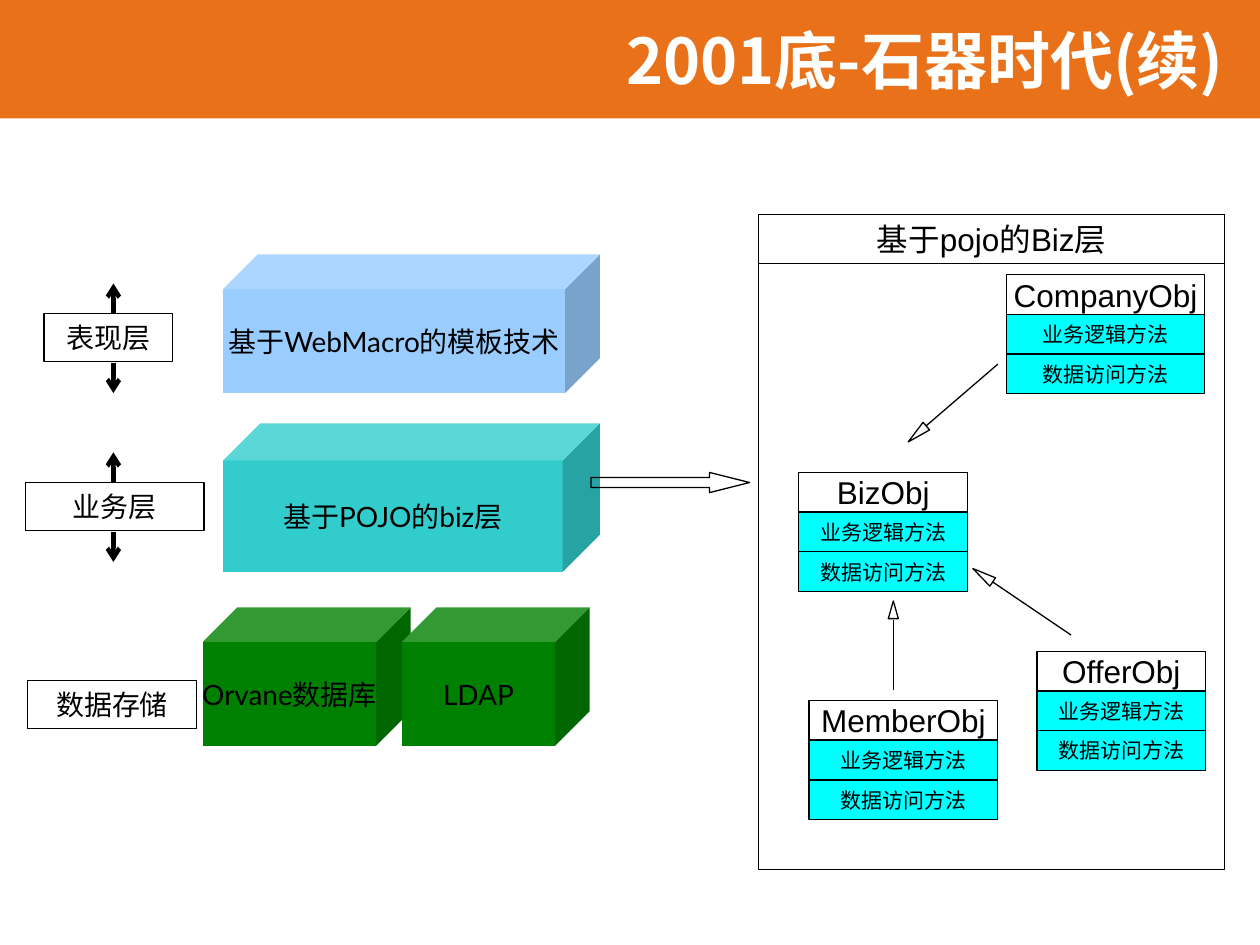
"""Builds the slide on the 2001 layered architecture and its POJO business objects."""
from pptx import Presentation
from pptx import util as u
from pptx.dml import color
from pptx.enum import shapes, text
from pptx.oxml import ns
from lxml import etree

COLORS = {
    "orange": "E87119", "white": "FFFFFF", "black": "000000", "blue": "99CCFF",
    "teal": "33CCCC", "green": "008000", "cyan": "00FFFF",
}
CJK_FONT = "Noto Sans CJK SC"
SHAPE = shapes.MSO_SHAPE
ROW_HEIGHT = 0.315
AXIS_X = 0.9

CUBES = [
    (1.77, 3.36, 2.99, 1.18, "teal", "基于POJO的biz层"),
    (1.77, 2.02, 2.99, 1.1, "blue", "基于WebMacro的模板技术"),
    (1.61, 4.82, 1.65, 1.1, "green", "Orvane数据库"),
    (3.19, 4.82, 1.49, 1.1, "green", "LDAP"),
]
LAYERS = [
    (0.35, 2.49, 1.02, "表现层", True),
    (0.2, 3.83, 1.42, "业务层", True),
    (0.22, 5.4, 1.34, "数据存储", False),
]
CLASSES = [
    (6.34, 3.75, 1.34, "BizObj"),
    (8.23, 5.17, 1.34, "OfferObj"),
    (6.42, 5.56, 1.5, "MemberObj"),
    (7.99, 2.18, 1.57, "CompanyObj"),
]
INHERITANCES = [
    (7.05, 4.77, 0.14, 0, (7.09, 5.48), (7.09, 4.92)),
    (7.76, 4.47, 0.19, 304.2, (8.5, 5.04), (7.88, 4.62)),
    (7.24, 3.35, 0.19, 229, (7.92, 2.89), (7.35, 3.38)),
]


def rgb(name):
    """Return the named colour."""
    return color.RGBColor.from_string(COLORS[name])


def write_text(shape, content, size, font="Arial", fill="black", bold=False,
               align=text.PP_ALIGN.CENTER, margin=0):
    """Put one vertically centred, unwrapped line of text in a shape."""
    frame = shape.text_frame
    frame.word_wrap = False
    frame.vertical_anchor = text.MSO_ANCHOR.MIDDLE
    frame.margin_top = frame.margin_bottom = 0
    frame.margin_left = frame.margin_right = u.Inches(margin)
    paragraph = frame.paragraphs[0]
    paragraph.alignment = align
    run = paragraph.add_run()
    run.text = content
    run.font.size = u.Pt(size)
    run.font.name = font
    run.font.bold = bold
    run.font.color.rgb = rgb(fill)
    etree.SubElement(run.font._element, ns.qn("a:ea"), typeface=CJK_FONT)


def add_block(slide, kind, left, top, width, height, fill=None, line="black"):
    """Add a preset shape with optional fill and outline."""
    shape = slide.shapes.add_shape(
        kind, u.Inches(left), u.Inches(top), u.Inches(width), u.Inches(height))
    shape.shadow.inherit = False
    if fill:
        shape.fill.solid()
        shape.fill.fore_color.rgb = rgb(fill)
    else:
        shape.fill.background()
    if line:
        shape.line.color.rgb = rgb(line)
        shape.line.width = u.Pt(0.75)
    else:
        shape.line.fill.background()
    return shape


def add_line(slide, start, end, width=0.75, arrow=False):
    """Add a straight black line, with an open arrowhead at its end if asked."""
    connector = slide.shapes.add_connector(
        shapes.MSO_CONNECTOR.STRAIGHT, *(u.Inches(value) for value in start + end))
    connector.line.color.rgb = rgb("black")
    connector.line.width = u.Pt(width)
    properties = connector._element.spPr
    if arrow:
        outline = properties.find(ns.qn("a:ln"))
        etree.SubElement(outline, ns.qn("a:tailEnd"), type="arrow")
    etree.SubElement(properties, ns.qn("a:effectLst"))


def add_title(slide):
    """Add the orange band and the title on it."""
    add_block(slide, SHAPE.RECTANGLE, 0, 0, 10, 0.94, "orange", None)
    box = slide.shapes.add_textbox(
        u.Inches(3.36), u.Inches(0), u.Inches(6.45), u.Inches(0.94))
    write_text(box, "2001底-石器时代(续)", 36, CJK_FONT, "white", True,
               text.PP_ALIGN.RIGHT, 0.1)
    box.text_frame.word_wrap = True


def add_cube(slide, left, top, width, height, fill, label):
    """Add a labelled cube for one technology."""
    cube = add_block(slide, SHAPE.CUBE, left, top, width, height, fill, None)
    write_text(cube, label, 16, "Lato")


def add_layer(slide, left, top, width, label, has_arrows):
    """Add a layer label, with arrows up and down where the layer has them."""
    height, gap, reach = 0.38, 0.01, 0.24
    box = add_block(slide, SHAPE.RECTANGLE, left, top, width, height)
    write_text(box, label, 16, "Times New Roman")
    if has_arrows:
        bottom = top + height + gap
        add_line(slide, (AXIS_X, bottom), (AXIS_X, bottom + reach), 2.5, True)
        add_line(slide, (AXIS_X, top), (AXIS_X, top - reach), 2.5, True)


def add_class(slide, left, top, width, name):
    """Add a class box: its name above two rows of methods."""
    rows = [(name, 18, None), ("业务逻辑方法", 12, "cyan"), ("数据访问方法", 12, "cyan")]
    for index, (label, size, fill) in enumerate(rows):
        row = add_block(slide, SHAPE.RECTANGLE, left, top + index * ROW_HEIGHT,
                        width, ROW_HEIGHT, fill)
        write_text(row, label, size)


def add_inheritance(slide, left, top, height, rotation, start, end):
    """Add a line that ends in a hollow triangle."""
    head = add_block(slide, SHAPE.ISOSCELES_TRIANGLE, left, top, 0.08, height)
    head.rotation = rotation
    add_line(slide, start, end)


def add_panel(slide):
    """Add the frame of the business layer and its heading."""
    add_block(slide, SHAPE.RECTANGLE, 6.02, 1.7, 3.7, 5.2)
    heading = add_block(slide, SHAPE.RECTANGLE, 6.02, 1.7, 3.7, 0.39)
    write_text(heading, "基于pojo的Biz层", 18)


def main():
    """Build and save the slide."""
    presentation = Presentation()
    presentation.slide_width = u.Inches(10)
    presentation.slide_height = u.Inches(7.5)
    slide = presentation.slides.add_slide(presentation.slide_layouts[6])
    add_title(slide)
    for cube in CUBES:
        add_cube(slide, *cube)
    for layer in LAYERS:
        add_layer(slide, *layer)
    arrow = add_block(slide, SHAPE.RIGHT_ARROW, 4.69, 3.75, 1.26, 0.16)
    arrow.adjustments[1] = 1.99
    for item in CLASSES:
        add_class(slide, *item)
    for inheritance in INHERITANCES:
        add_inheritance(slide, *inheritance)
    add_panel(slide)
    presentation.save("out.pptx")


if __name__ == "__main__":
    main()
